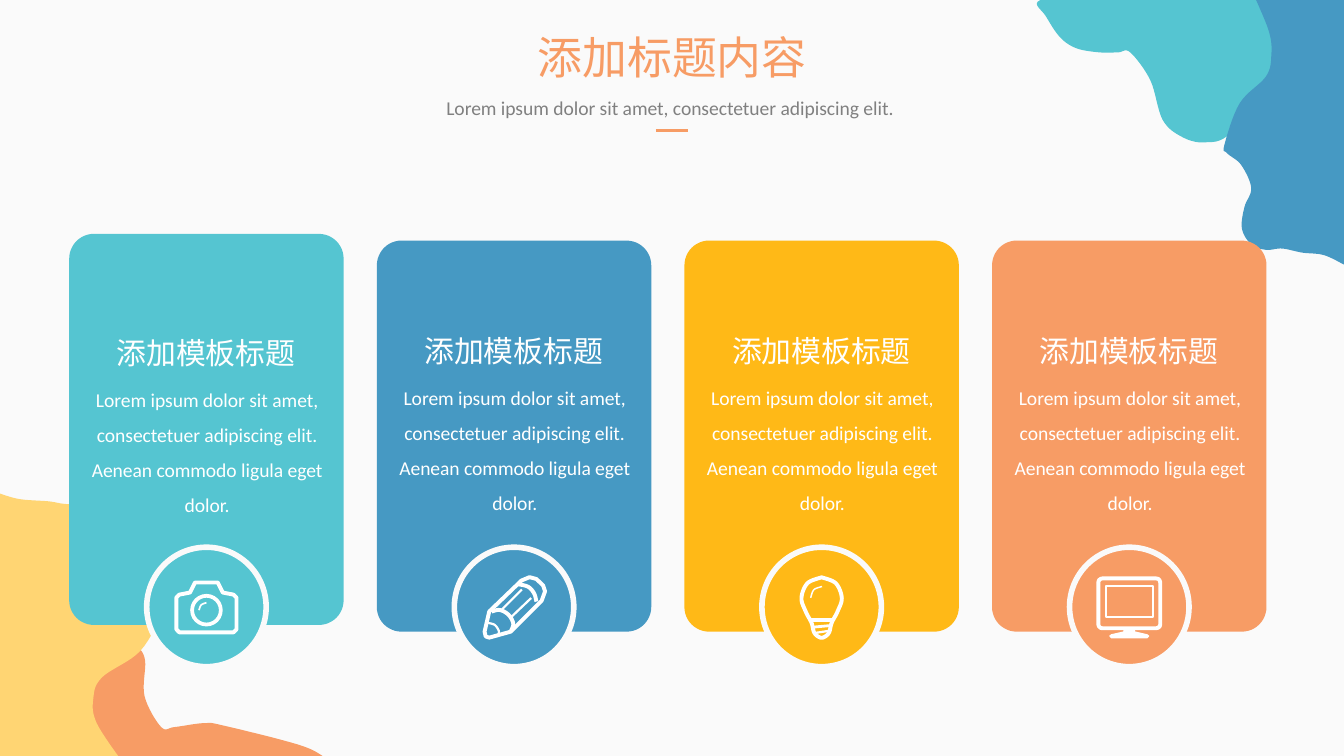
from lxml import etree
from pptx import Presentation
from pptx.dml.color import RGBColor
from pptx.enum import shapes as kinds, text as txt
from pptx.oxml.ns import qn
from pptx.util import Pt

COLORS = {
    "paper": "FAFAFA", "white": "FFFFFF", "gray": "808080", "teal": "55C5D1",
    "blue": "4699C3", "amber": "FFB917", "orange": "F79C65", "sand": "FFD573",
}
LATIN, CJK = "Calibri", "Noto Sans CJK SC"
LOREM = "Lorem ipsum dolor sit amet, consectetuer adipiscing elit."
CARD_COLORS = ["teal", "blue", "amber", "orange"]
FIRST_CENTER, PITCH, BADGE_Y = 110.6, 164.8, 325.2

# Corner waves: colour, curved edge, straight corners that close the outline
WAVES = [
    ("orange", [
        (165.6, 412.6), (177, 409), (173.5, 405.4), (159.8, 398.9), (120.2, 388.8),
        (109.4, 387.4), (93.6, 389.5), (86.4, 389.5), (77.5, 373), (77.8, 354.2),
        (74.2, 347), (69.1, 345.6), (61.9, 347.8), (46.8, 357.1), (38.2, 353.5),
        (26.6, 333.4), (12.2, 338.4), (6.5, 356.4), (2.9, 377.3), (-0.7, 393.8),
        (-11.5, 412.6)], []),
    ("sand", [
        (65.5, 408.2), (51.8, 387.4), (50, 374.3), (54.7, 362.9), (75.3, 348.6),
        (87.8, 326.2), (85.7, 321.8), (66.2, 303.1), (73.4, 281.5), (66.2, 272.9),
        (54.7, 270), (48.2, 270.7), (34.6, 270), (25.9, 268.6), (9.2, 267.2),
        (-6.5, 262.1)], [(-6.5, 408.2)]),
    ("teal", [
        (572.4, -3.6), (556, 0.9), (560.2, 8.6), (567.9, 20), (576.7, 25.9),
        (589, 28.1), (599, 28.1), (605.5, 28.1), (616.3, 43.1), (622.8, 64.1),
        (632.9, 73.2), (645.1, 76.3), (659.5, 71.3), (684, 41.8), (720, 30.2)],
     [(720, -3.6)]),
    ("blue", [
        (671, -4.3), (679.7, 16.6), (681.1, 29.5), (678.2, 41), (664.1, 55.4),
        (655.9, 77.8), (657.4, 82.1), (665, 88.5), (670.3, 100.8), (666.7, 110.9),
        (665.3, 122.4), (670.3, 131), (678.2, 133.9), (686.9, 133.2), (697.7, 135.4),
        (709.2, 136.7), (720, 141.8)], [(720, -4.3)]),
]


def rgb(name):
    return RGBColor.from_string(COLORS[name])


def smooth(points, steps=8):
    """Return a Catmull-Rom curve through the points."""
    padded = [points[0], *points, points[-1]]
    curve = [points[0]]
    for a, b, c, d in zip(padded, padded[1:], padded[2:], padded[3:]):
        for step in range(1, steps + 1):
            t = step / steps
            curve.append(tuple(
                b[k] + t * (c[k] - a[k]) / 2
                + t * t * (2 * a[k] - 5 * b[k] + 4 * c[k] - d[k]) / 2
                + t ** 3 * (3 * b[k] - a[k] - 3 * c[k] + d[k]) / 2
                for k in (0, 1)))
    return curve


def paint(shape, fill=None, line=None, weight=1.0):
    shape.shadow.inherit = False
    if fill:
        shape.fill.solid()
        shape.fill.fore_color.rgb = rgb(fill)
    else:
        shape.fill.background()
    if line:
        shape.line.color.rgb = rgb(line)
        shape.line.width = Pt(weight)
    else:
        shape.line.fill.background()
    return shape


def outline(slide, points, closed=False, **look):
    vertices = [(Pt(x), Pt(y)) for x, y in points]
    builder = slide.shapes.build_freeform(*vertices[0])
    builder.add_line_segments(vertices[1:], close=closed)
    return paint(builder.convert_to_shape(), **look)


def preset(slide, kind, left, top, width, height, **look):
    shape = slide.shapes.add_shape(kind, Pt(left), Pt(top), Pt(width), Pt(height))
    return paint(shape, **look)


def write(holder, words, box, size=10.5, font=LATIN, color="white", spacing=1.0, wrap=True):
    holder.left, holder.top, holder.width, holder.height = map(Pt, box)
    frame = holder.text_frame
    frame.word_wrap = wrap
    frame.auto_size = txt.MSO_AUTO_SIZE.SHAPE_TO_FIT_TEXT
    paragraph = frame.paragraphs[0]
    paragraph.alignment = txt.PP_ALIGN.CENTER
    paragraph.line_spacing = spacing
    run = paragraph.add_run()
    run.text = words
    run.font.size = Pt(size)
    run.font.name = font
    run.font.color.rgb = rgb(color)
    east_asian = etree.SubElement(run.font._element, qn("a:ea"))
    east_asian.set("typeface", font)


def add_text(slide, words, box, **style):
    write(slide.shapes.add_textbox(0, 0, 0, 0), words, box, **style)


# Icons are drawn around the badge centre
def icon_pen(slide, center):
    def place(points):
        return [(center + x, BADGE_Y + y) for x, y in points]

    def stroke(points, weight=2.1, curved=False, closed=False):
        path = smooth(points) if curved else points
        outline(slide, place(path), closed, line="white", weight=weight)
    return place, stroke


def draw_camera(slide, center):
    _, stroke = icon_pen(slide, center)
    half = [(6.1, -13.1), (8.8, -7.7), (14.5, -6.6), (16.1, -5), (16.1, 12), (14.5, 13.6)]
    stroke(half + [(-x, y) for x, y in reversed(half)], closed=True)
    preset(slide, kinds.MSO_SHAPE.OVAL, center - 7.7, BADGE_Y - 6, 15.4, 15.4,
           line="white", weight=2)
    stroke([(-4, 1.7), (-2.8, -1.1), (0, -2.3)], weight=0.9, curved=True)


def draw_pencil(slide, center):
    _, stroke = icon_pen(slide, center)
    stroke([(-15.8, 13.2), (-13.3, 2.4), (4, -14.2), (8.3, -16), (12, -15),
            (15.6, -11.5), (16.6, -8.4), (14.8, -3.4), (-1.8, 13.2),
            (-13.3, 16.4), (-15.2, 15.8)], closed=True)
    stroke([(2.2, -12.2), (7.6, -10.8), (10.8, -7.2), (12, -2.9)], curved=True)
    stroke([(-11.9, 2.4), (-7.6, 1.6), (-2.9, 4.2), (-0.4, 8.9), (-1.6, 12.8)], curved=True)
    stroke([(-14, 8.5), (-10.4, 9.6), (-8.3, 12.5), (-8.3, 14.6)], weight=1.2, curved=True)
    stroke([(-6.5, 1.3), (4.2, -9.4)], weight=1.2)
    stroke([(-1.4, 5.3), (9.2, -4.8)], weight=1.2)


def draw_bulb(slide, center):
    _, stroke = icon_pen(slide, center)
    half = [(0, -15.9), (7.6, -12.7), (10.8, -4.8), (8.5, 2.5), (5.4, 8.5), (3.8, 14), (0, 16.5)]
    stroke(half + [(-x, y) for x, y in half[-2::-1]], curved=True, closed=True)
    stroke([(-5.8, 7), (5.8, 7)])
    stroke([(-4.4, 10.8), (4.4, 10)], weight=1.5)
    stroke([(-3.6, 13.9), (3.6, 12.8)], weight=1.2)
    stroke([(-5.9, -4.9), (-4.2, -9.2), (0.2, -11)], weight=0.8, curved=True)


def draw_monitor(slide, center):
    place, _ = icon_pen(slide, center)
    case = preset(slide, kinds.MSO_SHAPE.ROUNDED_RECTANGLE, center - 16.6, BADGE_Y - 15.3,
                  33.2, 26.7, line="white", weight=2.1)
    case.adjustments[0] = 0.08
    preset(slide, kinds.MSO_SHAPE.RECTANGLE, center - 12.6, BADGE_Y - 11.3, 25.2, 16.6,
           line="white", weight=1.1)
    half = [(3.2, 12), (3.2, 13.1), (9.7, 14.6), (10.8, 15.5), (9.7, 16.8)]
    outline(slide, place(half + [(-x, y) for x, y in reversed(half)]), True, fill="white")


def add_card(slide, center, color, draw_icon, lift, drop):
    card = preset(slide, kinds.MSO_SHAPE.ROUNDED_RECTANGLE, center - 73.5, 128.9 - lift,
                  147, 209.5, fill=color)
    card.adjustments[0] = 0.09
    preset(slide, kinds.MSO_SHAPE.OVAL, center - 32, BADGE_Y - 32, 64, 64,
           fill=color, line="paper", weight=3)
    add_text(slide, LOREM + " Aenean commodo ligula eget dolor.",
             (center - 74.5, 196.8 + drop, 149.8, 81.4), spacing=1.5)
    add_text(slide, "添加模板标题", (center - 56, 174.8 + drop, 111.6, 26.6),
             size=16, font=CJK, wrap=False)
    draw_icon(slide, center)


def add_header(slide):
    write(slide.shapes.title, "添加标题内容", (280, 12.2, 160, 36),
          size=24, font=CJK, color="orange", wrap=False)
    add_text(slide, LOREM, (215.5, 41.8, 287, 24.5), color="gray", spacing=1.5)
    rule = slide.shapes.add_connector(kinds.MSO_CONNECTOR.STRAIGHT,
                                      Pt(351.4), Pt(69.8), Pt(368.6), Pt(69.8))
    rule.line.color.rgb = rgb("orange")
    rule.line.width = Pt(1.5)
    etree.SubElement(rule._element.spPr, qn("a:effectLst"))


def main():
    deck = Presentation()
    deck.slide_width, deck.slide_height = Pt(720), Pt(405)
    slide = deck.slides.add_slide(deck.slide_layouts[5])
    slide.background.fill.solid()
    slide.background.fill.fore_color.rgb = rgb("paper")

    for color, edge, corners in WAVES:
        outline(slide, smooth(edge) + corners, closed=True, fill=color)
    add_header(slide)

    # Four cards; the first one sits slightly higher in the row
    icons = [draw_camera, draw_pencil, draw_bulb, draw_monitor]
    for i, (color, draw_icon) in enumerate(zip(CARD_COLORS, icons)):
        lift, drop = (3.6, 1.1) if i == 0 else (0, 0)
        add_card(slide, FIRST_CENTER + i * PITCH, color, draw_icon, lift, drop)

    deck.save("out.pptx")


if __name__ == "__main__":
    main()
